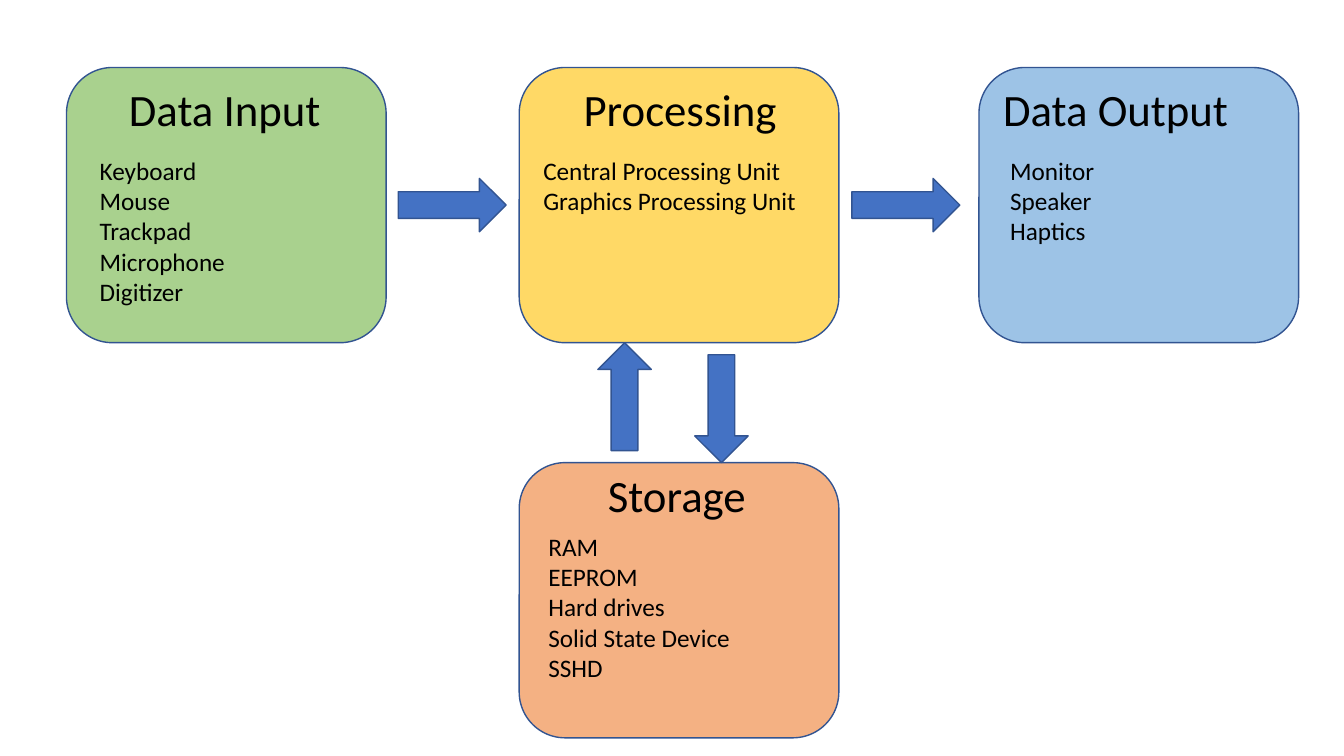
"""Build a slide showing data flowing from input through processing and storage to output."""
from pptx import Presentation
from pptx.dml.color import RGBColor
from pptx.enum.shapes import MSO_SHAPE as Preset
from pptx.util import Inches, Pt

GREEN = RGBColor(0xA9, 0xD1, 0x8E)
YELLOW = RGBColor(0xFF, 0xD9, 0x66)
LIGHT_BLUE = RGBColor(0x9D, 0xC3, 0xE6)
ORANGE = RGBColor(0xF4, 0xB1, 0x83)
ARROW_BLUE = RGBColor(0x44, 0x72, 0xC4)
OUTLINE = RGBColor(0x32, 0x54, 0x91)
BLACK = RGBColor(0, 0, 0)


def add_text(text, left, top, width, height, size):
    frame = slide.shapes.add_textbox(
        Inches(left), Inches(top), Inches(width), Inches(height)).text_frame
    frame.word_wrap = True
    frame.text = text
    for paragraph in frame.paragraphs:
        font = paragraph.runs[0].font
        font.name = "Calibri"
        font.size = Pt(size)
        font.color.rgb = BLACK


def add_block(preset, left, top, width, height, fill):
    block = slide.shapes.add_shape(
        preset, Inches(left), Inches(top), Inches(width), Inches(height))
    block.shadow.inherit = False
    block.fill.solid()
    block.fill.fore_color.rgb = fill
    block.line.color.rgb = OUTLINE
    block.line.width = Pt(1)
    return block


deck = Presentation()
deck.slide_width, deck.slide_height = Inches(13.33), Inches(7.5)
slide = deck.slides.add_slide(deck.slide_layouts[6])

stages = [
    ("Data Input", 0.66, 0.67, GREEN, (1.18, 0.76, 2.89), (0.89, 1.49),
     ["Keyboard", "Mouse", "Trackpad", "Microphone", "Digitizer"]),
    ("Processing", 5.15, 0.67, YELLOW, (5.69, 0.76, 2.4), (5.29, 1.49),
     ["Central Processing Unit", "Graphics Processing Unit"]),
    ("Data Output", 9.71, 0.67, LIGHT_BLUE, (9.85, 0.76, 2.52), (9.92, 1.49),
     ["Monitor", "Speaker", "Haptics"]),
    ("Storage", 5.15, 4.59, ORANGE, (5.93, 4.59, 2.26), (5.34, 5.22),
     ["RAM", "EEPROM", "Hard drives", "Solid State Device", "SSHD"]),
]
for title, left, top, fill, title_place, list_corner, devices in stages:
    add_block(Preset.ROUNDED_RECTANGLE, left, top, 3.17, 2.73, fill)
    add_text(title, *title_place, 0.64, size=32)
    add_text("\n".join(devices), *list_corner, 2.75, 0.1 + 0.3 * len(devices), size=18)

flows = [(3.95, 1.77, 0), (8.45, 1.77, 0), (5.66, 3.67, 270), (6.62, 3.79, 90)]
for left, top, angle in flows:
    arrow = add_block(Preset.RIGHT_ARROW, left, top, 1.07, 0.53, ARROW_BLUE)
    arrow.rotation = angle

deck.save("out.pptx")
